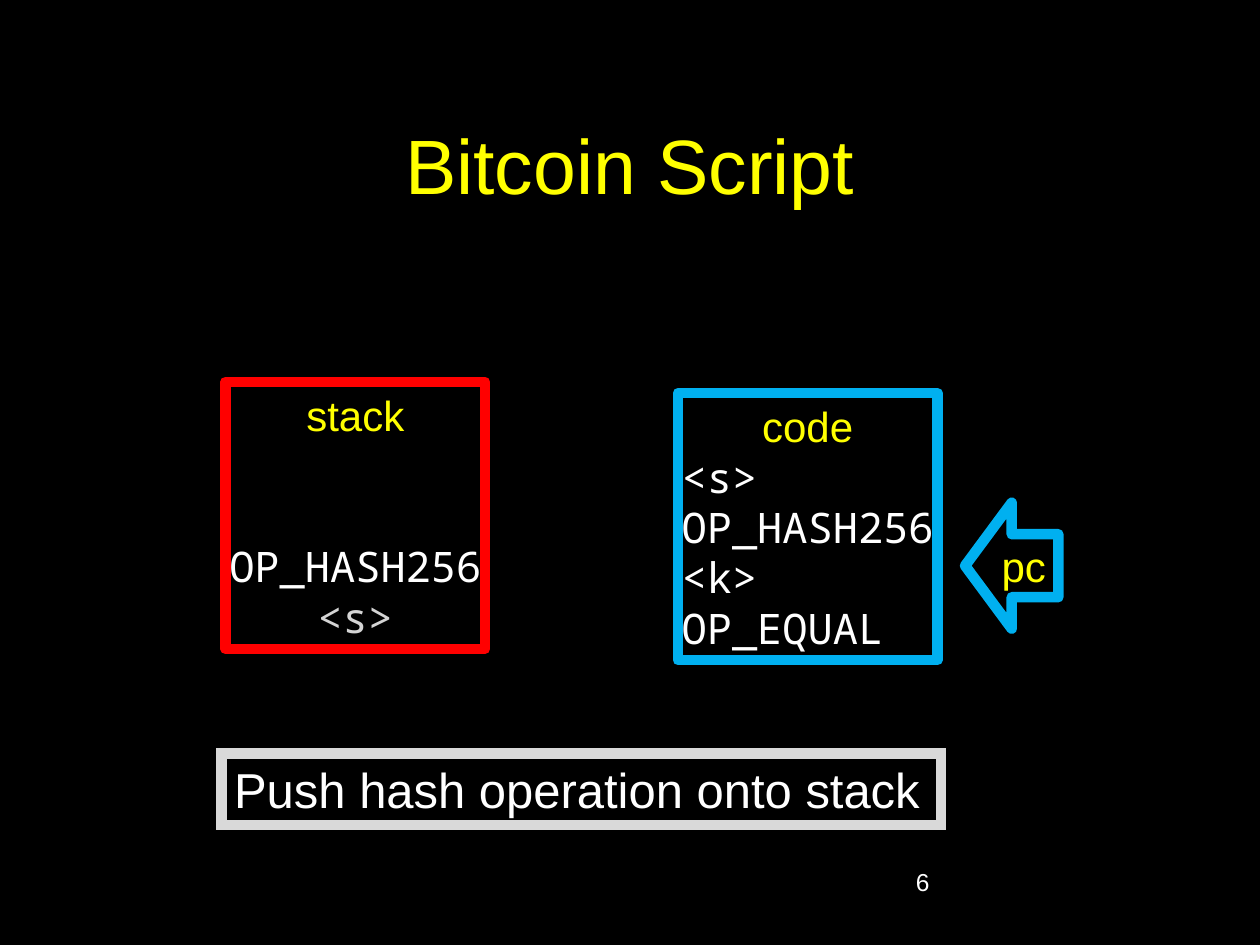
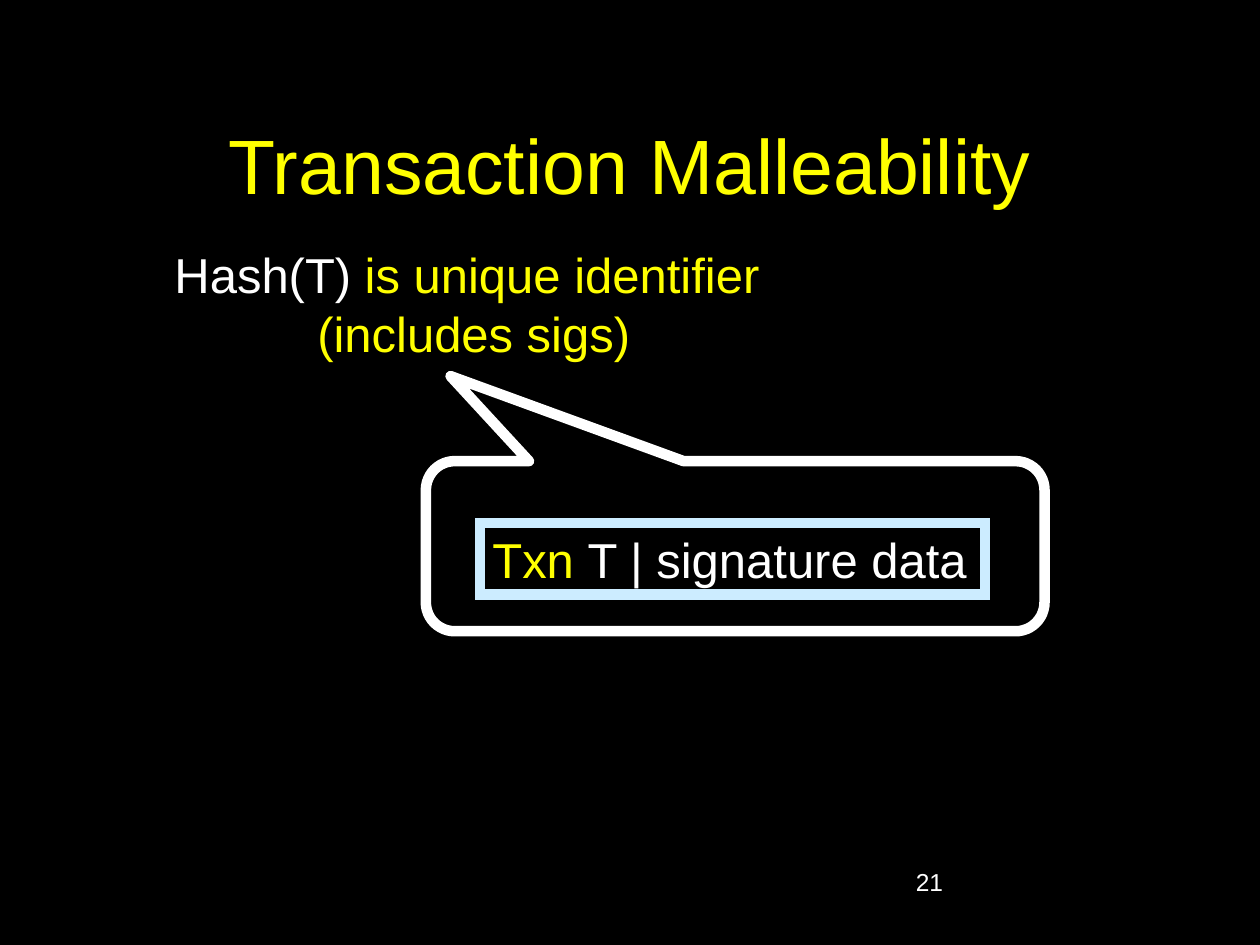
"""Builds two slides on transaction scripts and malleability."""
from lxml.etree import SubElement
from pptx import Presentation
from pptx.dml.color import RGBColor
from pptx.enum.shapes import MSO_SHAPE
from pptx.enum.text import MSO_ANCHOR, MSO_AUTO_SIZE, PP_ALIGN
from pptx.oxml.ns import qn
from pptx.util import Emu, Pt

PX = 9144
BLACK, WHITE, YELLOW = "000000", "FFFFFF", "FFFF00"
RED, BLUE, PALE_BLUE = "FF0000", "00B0F0", "CCECFF"
SILVER, GREY = "D9D9D9", "D4D4D4"
SANS, MONO = "Arial", "Noto Sans Mono"
LEFT, CENTER, RIGHT = PP_ALIGN.LEFT, PP_ALIGN.CENTER, PP_ALIGN.RIGHT
GROW = MSO_AUTO_SIZE.SHAPE_TO_FIT_TEXT
BORDER = 6


def px(*lengths):
    """Turn px lengths into EMU."""
    return [Emu(length * PX) for length in lengths]


def rgb(code):
    """Turn a hex string into a colour."""
    return RGBColor.from_string(code)


def paint(fill, code):
    """Give a fill one solid colour."""
    fill.solid()
    fill.fore_color.rgb = rgb(code)


def line(*runs, align=LEFT, font=SANS, before=0):
    """Describe one paragraph of (text, colour) runs."""
    return runs, font, {"alignment": align, "space_before": Pt(before)}


def write(shape, lines, size, **frame_format):
    """Fill a shape with paragraphs of one size."""
    frame = shape.text_frame
    for key, value in frame_format.items():
        setattr(frame, key, value)
    for index, (runs, font, paragraph_format) in enumerate(lines):
        paragraph = frame.add_paragraph() if index else frame.paragraphs[0]
        for key, value in paragraph_format.items():
            setattr(paragraph, key, value)
        for text, colour in runs:
            run = paragraph.add_run()
            run.text = text
            for key, value in {"size": Pt(size), "name": font}.items():
                setattr(run.font, key, value)
            run.font.color.rgb = rgb(colour)


def add_page(deck, title, number):
    """Add a slide with its title and page number."""
    slide = deck.slides.add_slide(deck.slide_layouts[6])
    heading = slide.shapes.add_textbox(*px(75, 67, 850, 125))
    write(heading, [line((title, YELLOW), align=CENTER)], 44,
          word_wrap=True, vertical_anchor=MSO_ANCHOR.MIDDLE)
    footer = slide.shapes.add_textbox(*px(717, 683, 208, 50))
    write(footer, [line((str(number), WHITE))], 14, word_wrap=True)
    return slide


def add_outline(slide, kind, box, border=None, fill=BLACK):
    """Add a preset shape with a thick border or none."""
    shape = slide.shapes.add_shape(kind, *px(*box))
    shape.shadow.inherit = False
    if fill:
        paint(shape.fill, fill)
    else:
        shape.fill.background()
    if border:
        paint(shape.line.fill, border)
        shape.line.width = Pt(BORDER)
    else:
        shape.line.fill.background()
    return shape


def add_panel(slide, box, border, lines, kind=MSO_SHAPE.RECTANGLE):
    """Add a machine part with centred contents."""
    panel = add_outline(slide, kind, box, border)
    write(panel, lines, 24, word_wrap=False, vertical_anchor=MSO_ANCHOR.MIDDLE)
    return panel


def add_statement(slide, box, lines, border=None):
    """Add a large statement, framed with sharp corners if bordered."""
    statement = add_outline(slide, MSO_SHAPE.RECTANGLE, box, border)
    if border:
        SubElement(statement.line.fill._xPr, qn("a:miter"), lim="800000")
    write(statement, lines, 28, word_wrap=False, auto_size=GROW,
          vertical_anchor=MSO_ANCHOR.TOP)


def build_script_page(deck):
    """Show the stack and the code at the hash step."""
    slide = add_page(deck, "Bitcoin Script", 6)
    operations = ["<s>", "OP_HASH256", "<k>", "OP_EQUAL"]
    add_panel(slide, (538, 312, 206, 212), BLUE, [
        line(("code", YELLOW), align=CENTER),
        *[line((operation, WHITE), font=MONO) for operation in operations]])
    add_panel(slide, (179, 303, 206, 212), RED, [
        line(("stack", YELLOW), align=CENTER),
        line(("OP_HASH256", WHITE), font=MONO, before=58),
        line(("<s>", GREY), align=CENTER, font=MONO)])
    counter = add_panel(slide, (766, 399, 74, 100), BLUE,
                        [line(("pc", YELLOW), align=RIGHT)],
                        MSO_SHAPE.LEFT_ARROW)
    counter.text_frame.auto_size = GROW
    add_statement(slide, (176, 598, 571, 57),
                  [line(("Push hash operation onto stack", WHITE))], SILVER)


def build_malleability_page(deck):
    """Show what the transaction hash covers."""
    slide = add_page(deck, "Transaction Malleability", 21)
    add_statement(slide, (125, 189, 491, 104), [
        line(("Hash(T)", WHITE), (" is unique identifier", YELLOW), align=CENTER),
        line((" (includes sigs)", YELLOW), align=CENTER)])
    callout = add_outline(slide, MSO_SHAPE.ROUNDED_RECTANGULAR_CALLOUT,
                          (338, 366, 491, 135), WHITE, fill=None)
    for index, value in enumerate((-0.46, -1, 0.17)):
        callout.adjustments[index] = value
    add_statement(slide, (381, 415, 401, 57),
                  [line(("Txn ", YELLOW), ("T | signature data", WHITE))],
                  PALE_BLUE)


def main():
    """Build and save the deck."""
    deck = Presentation()
    deck.slide_width, deck.slide_height = px(1000, 750)
    paint(deck.slide_master.background.fill, BLACK)
    build_script_page(deck)
    build_malleability_page(deck)
    deck.save("out.pptx")


if __name__ == "__main__":
    main()
